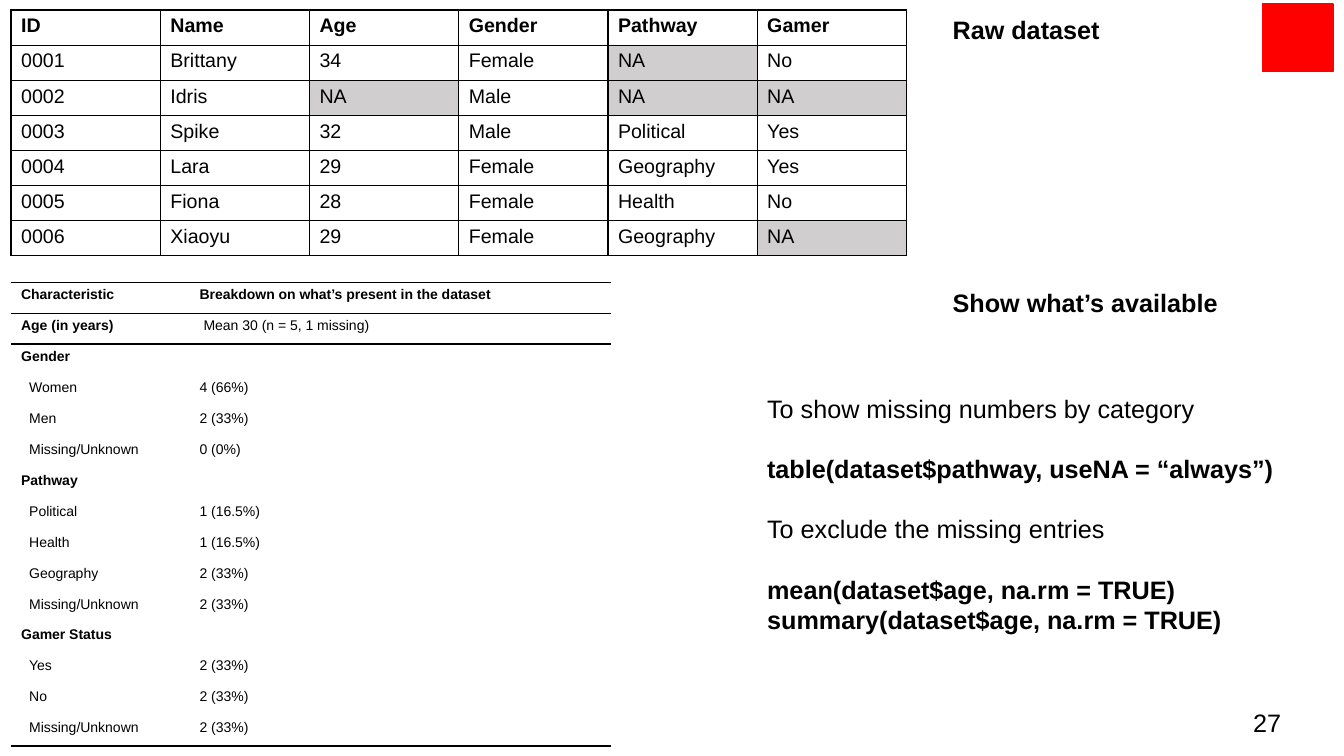
from dataclasses import dataclass

from lxml import etree
from pptx import Presentation
from pptx.dml.color import RGBColor
from pptx.enum.shapes import MSO_SHAPE
from pptx.enum.text import MSO_AUTO_SIZE
from pptx.oxml.ns import qn
from pptx.util import Inches, Pt

RECTANGLE = MSO_SHAPE.RECTANGLE
GROW, FIXED = MSO_AUTO_SIZE.SHAPE_TO_FIT_TEXT, MSO_AUTO_SIZE.NONE


@dataclass(frozen=True)
class Theme:
    font: str = "Arial"
    ink: str = "000000"
    missing: str = "D0CECE"
    accent: str = "FF0000"
    body: int = 18
    data: int = 14
    summary: int = 10
    border: int = 1


THEME = Theme()

# Content
RAW_ROWS = [
    ("ID", "Name", "Age", "Gender", "Pathway", "Gamer"),
    ("0001", "Brittany", "34", "Female", "NA", "No"),
    ("0002", "Idris", "NA", "Male", "NA", "NA"),
    ("0003", "Spike", "32", "Male", "Political", "Yes"),
    ("0004", "Lara", "29", "Female", "Geography", "Yes"),
    ("0005", "Fiona", "28", "Female", "Health", "No"),
    ("0006", "Xiaoyu", "29", "Female", "Geography", "NA"),
]
SUMMARY_HEAD = [
    ("Characteristic", "Breakdown on what’s present in the dataset"),
    ("Age (in years)", "Mean 30 (n = 5, 1 missing)"),
]
SUMMARY_GROUPS = {
    "Gender": [("Women", "4 (66%)"), ("Men", "2 (33%)"), ("Missing/Unknown", "0 (0%)")],
    "Pathway": [("Political", "1 (16.5%)"), ("Health", "1 (16.5%)"),
                ("Geography", "2 (33%)"), ("Missing/Unknown", "2 (33%)")],
    "Gamer Status": [("Yes", "2 (33%)"), ("No", "2 (33%)"), ("Missing/Unknown", "2 (33%)")],
}
# Text, bold, space before in points
CODE_NOTES = [
    ("To show missing numbers by category", False, 0),
    ("table(dataset$pathway, useNA = “always”)", True, 21.5),
    ("To exclude the missing entries", False, 21.5),
    ("mean(dataset$age, na.rm = TRUE)", True, 21.5),
    ("summary(dataset$age, na.rm = TRUE)", True, 0),
]
# Paragraphs, left, top, width, height, sizing
TEXT_BOXES = [
    ([("27", False, 0)], 12.33, 6.97, 0.59, 0.16, FIXED),
    ([("Raw dataset", True, 0)], 9.35, 0.09, 2.1, 0.4, GROW),
    ([("Show what’s available", True, 0)], 9.35, 2.8, 2.99, 0.4, GROW),
    (CODE_NOTES, 7.51, 3.85, 5.41, 2.52, GROW),
]


def write(para, text, size, bold=False, before=0):
    """Put formatted text in a paragraph; an empty one keeps its size."""
    if not text:
        etree.SubElement(para._p, qn("a:endParaRPr")).set("sz", str(size * 100))
        return
    if before:
        para.space_before = Pt(before)
    span = para.add_run()
    span.text = text
    span.font.name = THEME.font
    span.font.size = Pt(size)
    span.font.bold = bold
    span.font.color.rgb = RGBColor.from_string(THEME.ink)


def set_borders(cell, sides):
    properties = cell._tc.get_or_add_tcPr()
    for side in "LRTB":
        line = etree.SubElement(properties, qn(f"a:ln{side}"))
        if side in sides:
            line.set("w", str(Pt(THEME.border)))
            fill = etree.SubElement(line, qn("a:solidFill"))
            etree.SubElement(fill, qn("a:srgbClr")).set("val", THEME.ink)
        else:
            etree.SubElement(line, qn("a:noFill"))


def add_grid(page, top, widths, row_height, row_count):
    frame = page.shapes.add_table(
        row_count, len(widths), Inches(0.11), Inches(top),
        Inches(sum(widths)), Inches(row_height * row_count))
    table = frame.table
    table.horz_banding = False
    for column, width in zip(table.columns, widths):
        column.width = Inches(width)
    for row in table.rows:
        row.height = Inches(row_height)
    return table


def fill_cell(cell, text, size, bold, sides, shade=None, indent=0):
    set_borders(cell, sides)
    if shade:
        cell.fill.solid()
        cell.fill.fore_color.rgb = RGBColor.from_string(shade)
    else:
        cell.fill.background()
    cell.margin_left = Inches(0.1 + indent)
    write(cell.text_frame.paragraphs[0], text, size, bold=bold)


def add_raw_table(page):
    table = add_grid(page, 0.1, [1.48] * 6, 0.348, len(RAW_ROWS))
    for r, row in enumerate(RAW_ROWS):
        for c, text in enumerate(row):
            shade = THEME.missing if text == "NA" else None
            fill_cell(table.cell(r, c), text, THEME.data, r == 0, "LRTB", shade=shade)


def add_summary_table(page):
    # Each row: label, value, label bold, value bold, label indent, value indent
    (label, value), (age, mean) = SUMMARY_HEAD
    rows = [(label, value, True, True, 0, 0), (age, mean, True, False, 0, 0.04)]
    for group, entries in SUMMARY_GROUPS.items():
        rows.append((group, "", True, False, 0, 0))
        rows += [(name, count, False, False, 0.08, 0) for name, count in entries]
    ruled = {0, 1, 2, len(rows)}
    table = add_grid(page, 2.8, [1.77, 4.18], 0.307, len(rows))
    for r, row in enumerate(rows):
        sides = ("T" if r in ruled else "") + ("B" if r + 1 in ruled else "")
        for c in range(2):
            fill_cell(table.cell(r, c), row[c], THEME.summary, row[c + 2], sides,
                      indent=row[c + 4])


def add_text(page, lines, left, top, width, height, sizing):
    box = page.shapes.add_textbox(Inches(left), Inches(top), Inches(width), Inches(height))
    frame = box.text_frame
    frame.word_wrap = True
    frame.auto_size = sizing
    for i, (text, bold, before) in enumerate(lines):
        para = frame.add_paragraph() if i else frame.paragraphs[0]
        write(para, text, THEME.body, bold=bold, before=before)


def main():
    deck = Presentation()
    deck.slide_width, deck.slide_height = Inches(13.33), Inches(7.5)
    page = deck.slides.add_slide(deck.slide_layouts[6])

    # Corner marker
    marker = page.shapes.add_shape(
        RECTANGLE, Inches(12.52), Inches(0.04), Inches(0.7), Inches(0.67))
    marker.shadow.inherit = False
    marker.fill.solid()
    marker.fill.fore_color.rgb = RGBColor.from_string(THEME.accent)
    marker.line.color.rgb = RGBColor.from_string(THEME.accent)
    marker.line.width = Pt(1)

    # Tables
    add_raw_table(page)
    add_summary_table(page)

    # Page number, headings and code notes
    for box in TEXT_BOXES:
        add_text(page, *box)

    deck.save("out.pptx")


if __name__ == "__main__":
    main()
